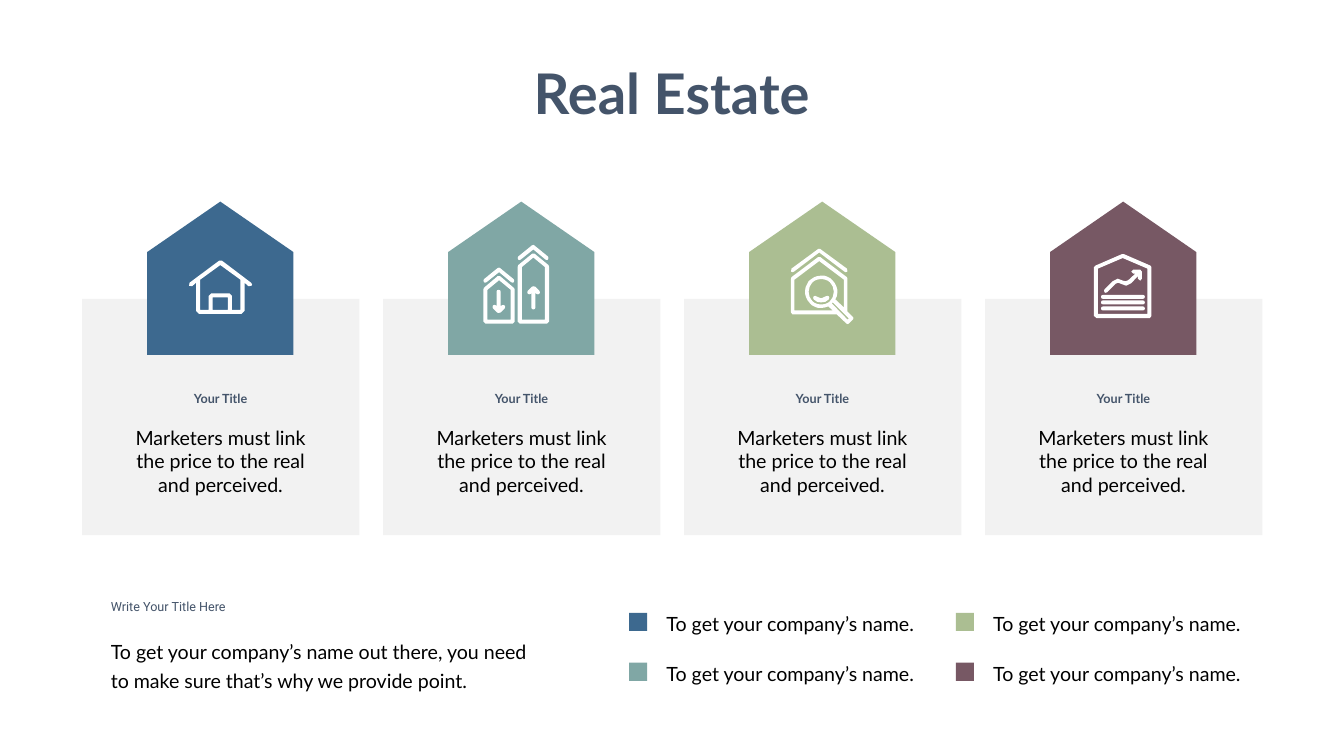
from math import cos, radians, sin

from lxml import etree
from pptx import Presentation
from pptx.dml.color import RGBColor
from pptx.enum.shapes import MSO_SHAPE as SHAPE
from pptx.enum.text import MSO_AUTO_SIZE as FIT, PP_ALIGN as ALIGN
from pptx.oxml.ns import qn
from pptx.util import Pt

PX = 9144  # 100 px to the inch
COLORS = {
    "blue": "3D698F", "teal": "80A7A5", "green": "ABBE92", "plum": "775864",
    "navy": "44546A", "black": "000000", "gray": "808080", "white": "FFFFFF",
}
HOUSES = ["blue", "teal", "green", "plum"]

prs = Presentation()
prs.slide_width, prs.slide_height = 2666 * PX, 1500 * PX
slide = prs.slides.add_slide(prs.slide_layouts[6])
shapes = slide.shapes


def paint(shape, color):
    shape.shadow.inherit = False
    shape.fill.solid()
    shape.fill.fore_color.rgb = RGBColor.from_string(COLORS[color])
    shape.line.fill.background()


def write(box, text, size, color="black", font="Lato", bold=False,
          align=ALIGN.LEFT, leading=None, wrap=True, margins=(10, 5)):
    frame = shapes.add_textbox(*(v * PX for v in box)).text_frame
    frame.word_wrap = wrap
    frame.auto_size = FIT.SHAPE_TO_FIT_TEXT
    frame.margin_left = frame.margin_right = margins[0] * PX
    frame.margin_top = frame.margin_bottom = margins[1] * PX
    paragraph = frame.paragraphs[0]
    paragraph.alignment = align
    if leading:
        paragraph.line_spacing = Pt(leading)
    run = paragraph.add_run()
    run.text = text
    run.font.size, run.font.name, run.font.bold = Pt(size), font, bold
    run.font.color.rgb = RGBColor.from_string(COLORS[color])


# Heading
write((1041, 112, 583, 145), "Real Estate", 80, "navy", bold=True,
      align=ALIGN.CENTER, wrap=False)

# Four cards, each with a house on top
for i, color in enumerate(HOUSES):
    left = 163 + 597 * i
    card = shapes.add_shape(SHAPE.RECTANGLE, left * PX, 593 * PX, 550 * PX, 469 * PX)
    paint(card, "gray")
    tint = card.fill._xPr.find(qn("a:solidFill"))[0]
    etree.SubElement(tint, qn("a:alpha"), val="10000")

    write((left + 96, 840, 357, 151),
          "Marketers must link the price to the real and perceived.", 28,
          align=ALIGN.CENTER)
    write((left + 96, 770, 357, 71), "Your Title", 18, "navy", bold=True,
          align=ALIGN.CENTER)

    house = shapes.add_shape(SHAPE.PENTAGON, (left + 122) * PX, 407 * PX,
                             304 * PX, 290 * PX)
    house.adjustments[0] = 0.345
    house.rotation = 270
    paint(house, color)

# Icon outlines: inner contours cut holes
home = [
    [(498, 561), (440, 517), (435, 517), (376, 561), (375, 567), (381, 568),
     (389, 561), (389, 617), (395, 623), (479, 623), (485, 617), (485, 561),
     (493, 568), (499, 567), (500, 564)],
    [(477, 615), (460, 615), (460, 587), (455, 582), (419, 582), (414, 587),
     (414, 615), (397, 615), (397, 555), (437, 526), (477, 555)],
    [(452, 615), (422, 615), (422, 590), (452, 590)],
]
tall_tower = [
    [(1088, 526), (1060, 503), (1056, 503), (1028, 526), (1027, 529),
     (1027, 638), (1031, 642), (1085, 642), (1089, 638), (1089, 529)],
    [(1081, 634), (1035, 634), (1035, 530), (1058, 511), (1081, 530)],
]
low_tower = [
    [(1019, 571), (992, 548), (987, 548), (960, 571), (959, 574),
     (959, 638), (963, 642), (1017, 642), (1021, 638), (1021, 574)],
    [(1013, 634), (967, 634), (967, 575), (990, 556), (1013, 575)],
]
tower_roof = [[(6, 29), (31, 9), (55, 29), (58, 30), (60, 29), (61, 26),
               (60, 23), (33, 1), (31, 0), (28, 1), (1, 23), (0, 26),
               (1, 29), (3, 30)]]
arrow_down = [[(8, 4), (8, 33), (7, 31), (4, 30), (1, 31), (0, 34), (1, 37),
               (9, 45), (12, 46), (16, 45), (24, 37), (25, 34), (24, 31),
               (21, 30), (18, 31), (16, 33), (16, 4), (15, 1), (12, 0), (9, 1)]]
arrow_up = [[(x, 46 - y) for x, y in arrow_down[0]]]

search_roof = [[(1575, 539), (1625, 501), (1675, 539), (1677, 540), (1681, 539),
                (1680, 533), (1627, 494), (1623, 494), (1570, 533),
                (1569, 539), (1572, 540)]]
lens = [(1629 + 25 * cos(radians(a)), 579 + 25 * sin(radians(a)))
        for a in range(0, 360, 12)]
lens_rim = [(1629 + 32 * cos(radians(a)), 579 + 32 * sin(radians(a)))
            for a in range(28, -300, -12)]
search_house = [
    [(1692, 629), (1681, 618), (1681, 553), (1680, 550), (1627, 510),
     (1623, 510), (1570, 550), (1569, 553), (1569, 620), (1572, 624),
     (1660, 624), (1679, 642), (1681, 643), (1684, 642), (1692, 634), (1693, 631)],
    [(1576, 555), (1625, 518), (1674, 555), (1674, 610), *lens_rim,
     (1652, 616), (1576, 616)],
    [(1650, 602), (1652, 600), (1684, 632), (1681, 634)],
    lens,
]
glint = [[(1644, 588), (1641, 587), (1638, 588), (1629, 592), (1619, 588),
          (1617, 587), (1614, 588), (1613, 591), (1614, 594), (1621, 599),
          (1629, 600), (1637, 599), (1644, 594), (1645, 591)]]

report = [
    [(2282, 527), (2229, 504), (2226, 504), (2173, 527), (2170, 530),
     (2170, 627), (2175, 631), (2281, 631), (2284, 627), (2284, 530)],
    [(2276, 623), (2178, 623), (2178, 533), (2227, 512), (2276, 533)],
]
trend = [[(2207, 558), (2191, 574), (2190, 577), (2191, 580), (2193, 581),
          (2196, 580), (2213, 563), (2218, 561), (2223, 563), (2234, 567),
          (2244, 562), (2257, 548), (2257, 553), (2262, 557), (2265, 553),
          (2265, 539), (2262, 535), (2248, 535), (2244, 539), (2248, 543),
          (2252, 543), (2238, 556), (2233, 558), (2228, 557), (2217, 553)]]
report_line = [[(0, 4), (1, 7), (4, 8), (83, 8), (86, 7), (87, 4), (86, 1),
                (83, 0), (4, 0), (1, 1)]]

# Icons, each part with its offset
icon_parts = [
    (0, 0, home),
    (0, 0, search_roof), (0, 0, search_house), (0, 0, glint),
    (0, 0, tall_tower), (1027, 486, tower_roof),
    (0, 0, low_tower), (959, 531, tower_roof),
    (977, 575, arrow_down), (1046, 568, arrow_up),
    (0, 0, report), (0, 0, trend),
    *[(2184, top, report_line) for top in (585, 596, 608)],
]
for dx, dy, contours in icon_parts:
    moved = [[(x + dx, y + dy) for x, y in contour] for contour in contours]
    outline = shapes.build_freeform(*moved[0][0], scale=PX)
    outline.add_line_segments(moved[0][1:], close=True)
    for hole in moved[1:]:
        outline.move_to(*hole[0])
        outline.add_line_segments(hole[1:], close=True)
    paint(outline.convert_to_shape(), "white")

# Summary
write((210, 1255, 867, 119),
      "To get your company’s name out there, you need to make sure "
      "that’s why we provide point.", 28, leading=40.8)
write((210, 1184, 572, 71), "Write Your Title Here", 18, "navy", font="Roboto")

# Legend, filled column by column
for i, color in enumerate(HOUSES):
    column, row = divmod(i, 2)
    left, top = 1248 + 648 * column, 1192 + 99 * row
    write((left + 50, top, 579, 75), "To get your company’s name.", 28,
          leading=40.8, margins=(24, 12))
    key = shapes.add_shape(SHAPE.RECTANGLE, left * PX, (top + 24) * PX, 36 * PX, 36 * PX)
    paint(key, color)

prs.save("out.pptx")
